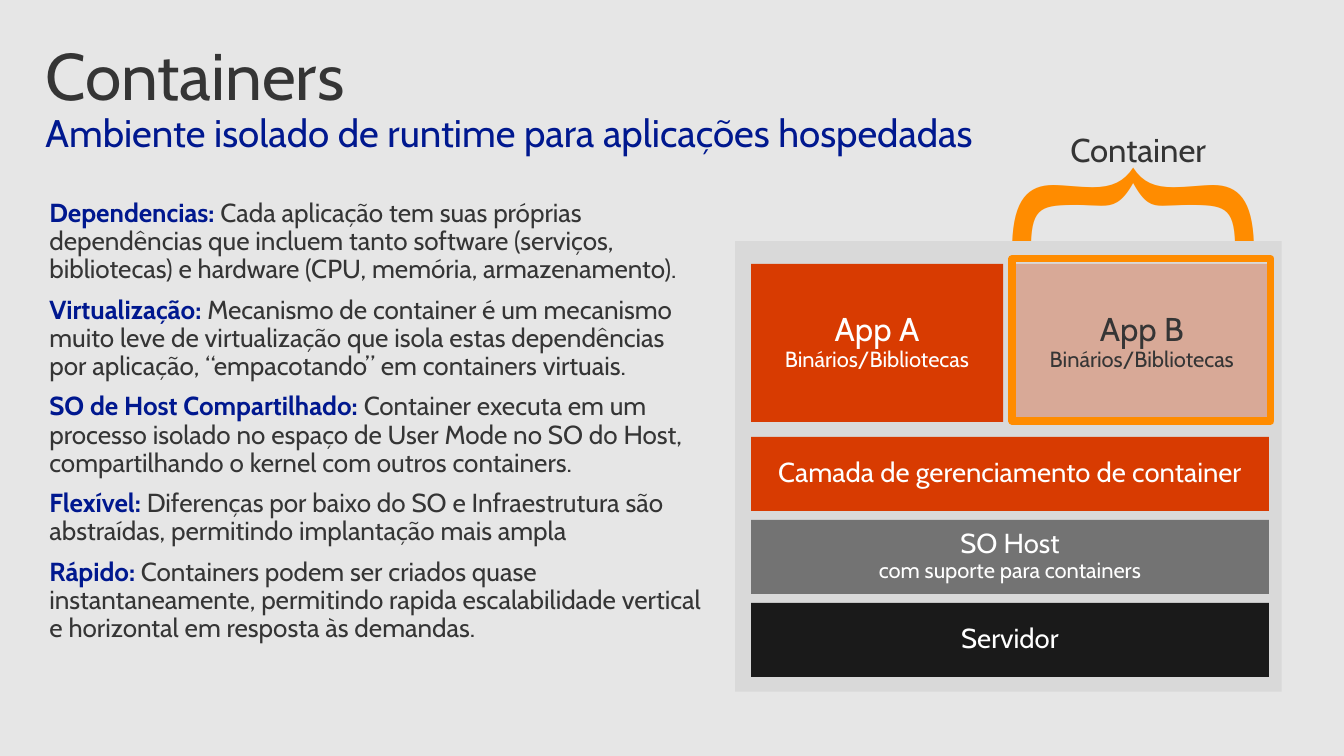
from pptx import Presentation
from pptx.dml.color import RGBColor
from pptx.enum.shapes import MSO_SHAPE
from pptx.enum.text import MSO_ANCHOR, MSO_AUTO_SIZE, PP_ALIGN
from pptx.oxml.ns import qn
from pptx.util import Pt
from lxml import etree

PX = 9144  # 100 px to the inch
FONT = "Cabin"
RECT = MSO_SHAPE.RECTANGLE
TOP, MIDDLE = MSO_ANCHOR.TOP, MSO_ANCHOR.MIDDLE
LEFT, CENTER = PP_ALIGN.LEFT, PP_ALIGN.CENTER
NO_FIT, GROW = MSO_AUTO_SIZE.NONE, MSO_AUTO_SIZE.SHAPE_TO_FIT_TEXT
TITLE_ONLY = 5

COLORS = {
    "page": "E6E6E6", "text": "353535", "navy": "00188F", "orange": "FF8C00",
    "panel": "D9D9D9", "red": "D83B01", "gray": "737373", "black": "1A1A1A",
    "white": "FFFFFF",
}

BENEFITS = [
    ("Dependencias: ", "Cada aplicação tem suas próprias dependências que incluem tanto "
     "software (serviços, bibliotecas) e hardware (CPU, memória, armazenamento)."),
    ("Virtualização: ", "Mecanismo de container é um mecanismo muito leve de virtualização "
     "que isola estas dependências por aplicação, “empacotando” em containers virtuais."),
    ("SO de Host Compartilhado: ", "Container executa em um processo isolado no espaço de "
     "User Mode no SO do Host, compartilhando o kernel com outros containers."),
    ("Flexível: ", "Diferenças por baixo do SO e Infraestrutura são abstraídas, "
     "permitindo implantação mais ampla"),
    ("Rápido: ", "Containers podem ser criados quase instantaneamente, permitindo rapida "
     "escalabilidade vertical e horizontal em resposta às demandas."),
]
LAYERS = [
    (["Camada de gerenciamento de container"], "red"),
    (["SO Host", "com suporte para containers"], "gray"),
    (["Servidor"], "black"),
]


def rgb(name):
    return RGBColor.from_string(COLORS[name])


def px(*lengths):
    return [length * PX for length in lengths]


def style_span(span, size, color, bold=False):
    span.font.name = FONT
    span.font.size = Pt(size)
    span.font.bold = bold
    span.font.color.rgb = rgb(color)


def set_frame(frame, side, top, bottom, anchor=TOP, wrap=True, fit=NO_FIT):
    frame.margin_left, frame.margin_right, frame.margin_top, frame.margin_bottom = px(
        side, side, top, bottom)
    frame.vertical_anchor = anchor
    frame.word_wrap = wrap
    frame.auto_size = fit


def write_lines(para, lines, sizes, colors, align=LEFT):
    """Put the lines in one paragraph, parted by line breaks."""
    para.text = "\v".join(lines)
    para.alignment = align
    para.line_spacing = 0.9
    for span, size, color in zip(para.runs, sizes, colors):
        style_span(span, size, color)


def add_block(page, box, fill=None, alpha=None):
    block = page.shapes.add_shape(RECT, *px(*box))
    block.shadow.inherit = False
    block.line.fill.background()
    if fill is None:
        block.fill.background()
        return block
    block.fill.solid()
    block.fill.fore_color.rgb = rgb(fill)
    if alpha is not None:
        color = block.fill._xPr.find(qn("a:solidFill"))[0]
        etree.SubElement(color, qn("a:alpha")).set("val", str(alpha * 1000))
    return block


def add_labelled_block(page, box, lines, size, fill, color="white", alpha=None):
    frame = add_block(page, box, fill, alpha).text_frame
    set_frame(frame, 20, 16, 16, MIDDLE)
    write_lines(frame.paragraphs[0], lines, (size, 16), (color, color), CENTER)


def add_heading(page, box):
    title = page.shapes.title
    title.left, title.top, title.width, title.height = px(*box)
    set_frame(title.text_frame, 16, 10, 10)
    write_lines(title.text_frame.paragraphs[0],
                ["Containers", "Ambiente isolado de runtime para aplicações hospedadas"],
                (48, 28), ("text", "navy"))


def add_benefits(page, box):
    frame = page.shapes.add_textbox(*px(*box)).text_frame
    set_frame(frame, 20, 20, 10)
    for index, (term, detail) in enumerate(BENEFITS):
        para = frame.add_paragraph() if index else frame.paragraphs[0]
        para.line_spacing = 0.9
        para.space_before = Pt(3 if index else 0)
        para.space_after = Pt(6)
        for text, color, bold in ((term, "navy", True), (detail, "text", False)):
            span = para.add_run()
            span.text = text
            style_span(span, 19, color, bold)


def add_floating_text(page, box, text, size, color, rotation=0):
    label = page.shapes.add_textbox(*px(*box))
    label.rotation = rotation
    set_frame(label.text_frame, 20, 16, 16, wrap=False, fit=GROW)
    write_lines(label.text_frame.paragraphs[0], [text], (size,), (color,))


def add_stack(page, box):
    """Draw the panel with two apps above the layers, and mark App B as the container."""
    left, top, width, height = box
    add_floating_text(page, (left + 338, top - 206, 125, 334), "}", 199, "orange", 270)
    add_floating_text(page, (left + 319, top - 124, 185, 69), "Container", 24, "text")
    add_block(page, box, "panel")
    inner, app_top = left + 16, top + 23
    app_width, app_height, app_step = 255, 160, 268
    apps = [("App A", "white", None), ("App B", "text", 30)]
    for index, (name, color, alpha) in enumerate(apps):
        add_labelled_block(page, (inner + index * app_step, app_top, app_width, app_height),
                           [name, "Binários/Bibliotecas"], 24, "red", color, alpha)
    for index, (lines, fill) in enumerate(LAYERS):
        add_labelled_block(page, (inner, top + 198 + index * 84, 524, 75), lines, 20, fill)
    outline = add_block(page, (inner + app_step - 4, app_top - 5, 262, 164))
    outline.line.color.rgb = rgb("orange")
    outline.line.width = Pt(5.25)


def build_containers_page(deck):
    page = deck.slides.add_slide(deck.slide_layouts[TITLE_ONLY])
    page.background.fill.solid()
    page.background.fill.fore_color.rgb = rgb("page")
    add_heading(page, (30, 34, 1319, 98))
    add_benefits(page, (30, 182, 700, 419))
    add_stack(page, (744, 244, 553, 456))


def main():
    deck = Presentation()
    deck.slide_width, deck.slide_height = px(1360, 765)
    build_containers_page(deck)
    deck.save("out.pptx")


if __name__ == "__main__":
    main()
